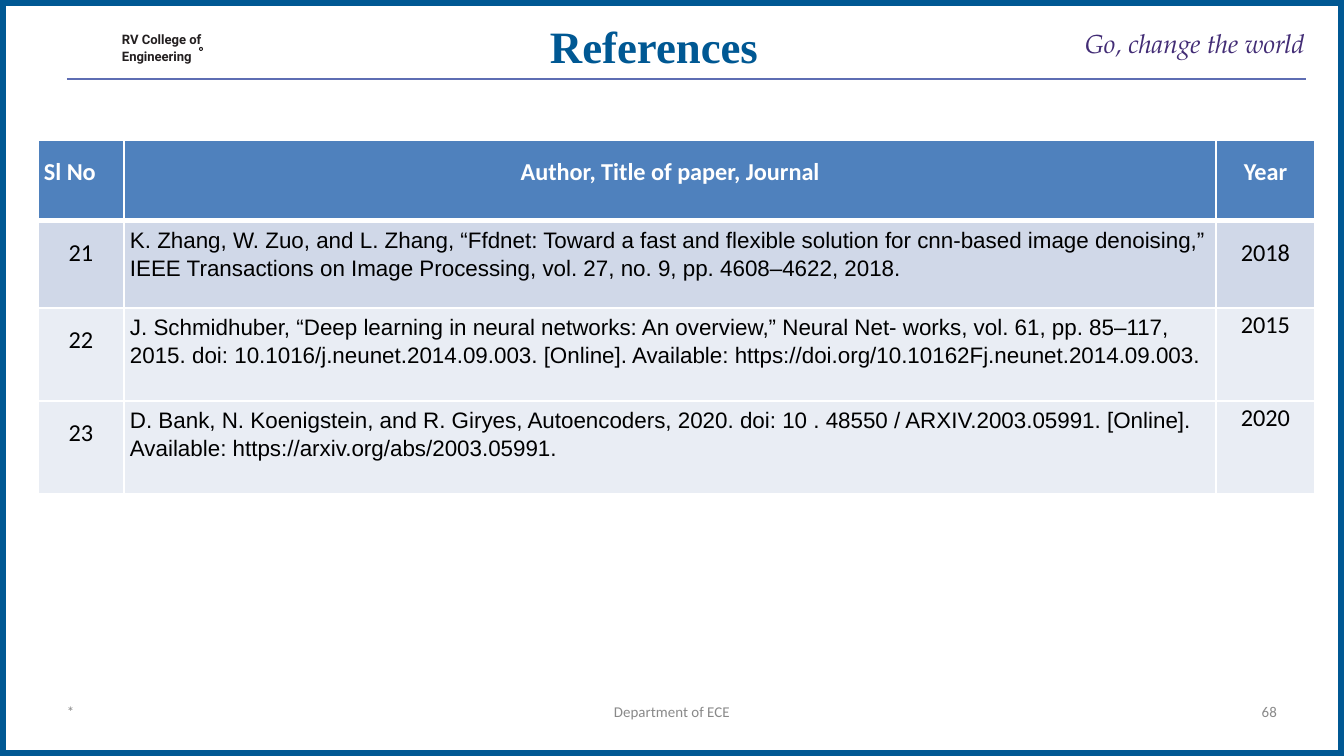
from lxml import etree
from pptx import Presentation
from pptx import util as u
from pptx.dml.color import RGBColor
from pptx.enum import shapes, text
from pptx.oxml import ns

EMU_PER_PX = 914400 / 134.4
COLORS = {
    "white": "FFFFFF", "black": "000000", "frame": "005893",
    "rule": "5E6DB3", "college": "231F20", "tagline": "422C75",
    "footer": "898989", "header": "4F81BD", "band": "D0D8E8",
    "plain": "E9EDF4",
}
LEFT, CENTER, RIGHT = (text.PP_ALIGN.LEFT, text.PP_ALIGN.CENTER,
                       text.PP_ALIGN.RIGHT)
COLUMN_WIDTHS = [86, 1092, 99]
ROW_HEIGHTS = [81, 87, 93, 93]
HEADINGS = ["Sl No", "Author, Title of paper, Journal", "Year"]
REFERENCES = [
    ("21", "K. Zhang, W. Zuo, and L. Zhang, “Ffdnet: Toward a fast and "
     "flexible solution for cnn-based image denoising,” IEEE Transactions "
     "on Image Processing, vol. 27, no. 9, pp. 4608–4622, 2018.", "2018"),
    ("22", "J. Schmidhuber, “Deep learning in neural networks: An overview,” "
     "Neural Net- works, vol. 61, pp. 85–117, 2015. doi: "
     "10.1016/j.neunet.2014.09.003. [Online]. Available: "
     "https://doi.org/10.10162Fj.neunet.2014.09.003.", "2015"),
    ("23", "D. Bank, N. Koenigstein, and R. Giryes, Autoencoders, 2020. doi: "
     "10 . 48550 / ARXIV.2003.05991. [Online]. Available: "
     "https://arxiv.org/abs/2003.05991.", "2020"),
]


def px(*lengths):
    return [u.Emu(round(length * EMU_PER_PX)) for length in lengths]


def rgb(name):
    return RGBColor.from_string(COLORS[name])


def write(frame, content, size, color, font="Calibri", align=LEFT,
          bold=False, italic=False, spacing=1.0):
    """Fill a text frame, one paragraph per line of content."""
    frame.text = content
    for paragraph in frame.paragraphs:
        paragraph.alignment = align
        paragraph.line_spacing = spacing
        for run in paragraph.runs:
            run.font.size = u.Pt(size)
            run.font.name = font
            run.font.bold = bold
            run.font.italic = italic
            run.font.color.rgb = rgb(color)


def set_up_frame(frame, top=0):
    frame.margin_left = frame.margin_right = frame.margin_bottom = 0
    frame.margin_top = px(top)[0]
    frame.word_wrap = True
    frame.auto_size = text.MSO_AUTO_SIZE.NONE
    frame.vertical_anchor = text.MSO_ANCHOR.TOP


def add_label(slide, box, content, size, color, top=0, **style):
    frame = slide.shapes.add_textbox(*px(*box)).text_frame
    set_up_frame(frame, top)
    write(frame, content, size, color, **style)


def add_shape(slide, kind, box, fill, line=None, width=0):
    shape = slide.shapes.add_shape(kind, *px(*box))
    shape.shadow.inherit = False
    shape.fill.solid()
    shape.fill.fore_color.rgb = rgb(fill)
    if line:
        shape.line.color.rgb = rgb(line)
        shape.line.width = u.Pt(width)
    else:
        shape.line.fill.background()
    return shape


def add_rule(slide, x1, x2, y):
    rule = slide.shapes.add_connector(shapes.MSO_CONNECTOR.STRAIGHT,
                                      *px(x1, y, x2, y))
    rule.line.color.rgb = rgb("rule")
    rule.line.width = u.Pt(1.25)
    etree.SubElement(rule.element.spPr, ns.qn("a:effectLst"))


def set_borders(cell, **widths):
    """Draw white borders; widths are points by side."""
    properties = cell._tc.get_or_add_tcPr()
    for side in "LRTB":
        line = etree.SubElement(properties, ns.qn("a:ln" + side),
                                w=str(u.Pt(widths.get(side, 1))))
        fill = etree.SubElement(line, ns.qn("a:solidFill"))
        etree.SubElement(fill, ns.qn("a:srgbClr"), val=COLORS["white"])


def format_cell(cell, content, fill, **style):
    cell.margin_left, cell.margin_right = px(6, 6)
    cell.margin_top, cell.margin_bottom = px(3, 3)
    cell.vertical_anchor = text.MSO_ANCHOR.TOP
    cell.fill.solid()
    cell.fill.fore_color.rgb = rgb(fill)
    write(cell.text_frame, content, **style)


def add_reference_table(slide):
    rows = [HEADINGS, *REFERENCES]
    box = px(38, 140, sum(COLUMN_WIDTHS), sum(ROW_HEIGHTS))
    table = slide.shapes.add_table(len(rows), len(HEADINGS), *box).table
    for column, width in zip(table.columns, px(*COLUMN_WIDTHS)):
        column.width = width
    for row, height in zip(table.rows, px(*ROW_HEIGHTS)):
        row.height = height

    for r, row in enumerate(rows):
        fill = ("header", "band", "plain", "plain")[r]
        for c, content in enumerate(row):
            cell = table.cell(r, c)
            set_borders(cell, T=3 if r == 1 else 1, B=3 if r == 0 else 1)
            style = dict(size=13, color="black", align=CENTER, spacing=1.5)
            if r == 0:
                style.update(color="white", bold=True,
                             align=LEFT if c == 0 else CENTER)
            elif c == 1:
                style.update(size=12, font="Arial", align=LEFT, spacing=1.15)
            elif c == 2 and r > 1:
                style.update(spacing=1.0)
            format_cell(cell, content, fill, **style)


def add_title(slide, box, content, **style):
    title = slide.shapes.title
    title.left, title.top, title.width, title.height = px(*box)
    set_up_frame(title.text_frame)
    write(title.text_frame, content, **style)
    # Bring the title in front of the page frame
    title.element.getparent().append(title.element)


def main():
    prs = Presentation()
    prs.slide_width, prs.slide_height = px(1344, 756)
    slide = prs.slides.add_slide(prs.slide_layouts[5])

    # Page frame and header
    page = add_shape(slide, shapes.MSO_SHAPE.RECTANGLE, (0, 0, 1344, 756),
                     "white", "frame", 6)
    page_color = page.element.spPr.find(".//" + ns.qn("a:srgbClr"))
    etree.SubElement(page_color, ns.qn("a:alpha"), val="96000")
    add_rule(slide, 67, 1306, 79)
    add_shape(slide, shapes.MSO_SHAPE.DONUT, (199, 47, 4, 4), "college")
    add_label(slide, (122, 30, 91, 34), "RV College of\nEngineering", 7,
              "college", top=1, font="Roboto", bold=True, spacing=1.06)
    add_label(slide, (1059, 27, 246, 32), "Go, change the world", 14,
              "tagline", font="TeX Gyre Pagella", italic=True, align=RIGHT)

    # Footer
    for x, width, content, align in [(67, 309, "*", LEFT),
                                     (457, 430, "Department of ECE", CENTER),
                                     (968, 309, "68", RIGHT)]:
        add_label(slide, (x, 703, width, 17), content, 8, "footer",
                  align=align)

    # Content
    add_reference_table(slide)
    add_title(slide, (230, 19, 848, 54), "References", size=24,
              color="frame", font="Times New Roman", bold=True, align=CENTER)
    prs.save("out.pptx")


if __name__ == "__main__":
    main()
